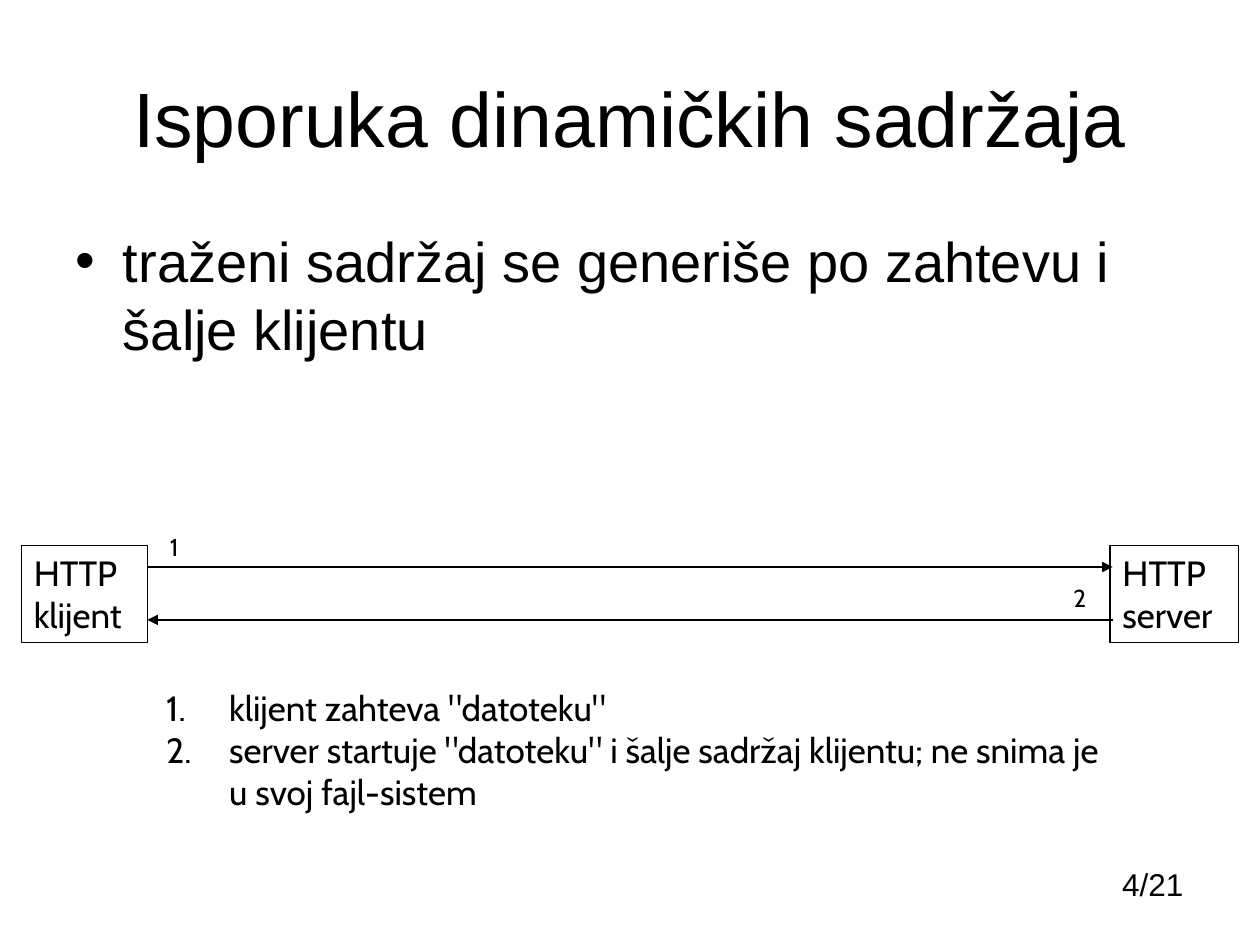
from dataclasses import dataclass

from lxml.etree import SubElement
from pptx import Presentation
from pptx.dml.color import RGBColor
from pptx.enum.shapes import MSO_CONNECTOR, MSO_SHAPE
from pptx.enum.text import MSO_ANCHOR, MSO_AUTO_SIZE, PP_ALIGN
from pptx.oxml.ns import qn
from pptx.util import Pt

BLACK = "000000"
LINE_WIDTH = 0.75


@dataclass(frozen=True)
class Box:
    left: float
    top: float
    width: float
    height: float

    def lengths(self) -> tuple:
        return Pt(self.left), Pt(self.top), Pt(self.width), Pt(self.height)


@dataclass(frozen=True)
class Label:
    box: Box
    text: str
    size: float
    face: str = "Cabin"
    align: PP_ALIGN = PP_ALIGN.LEFT
    wrap: bool = True


@dataclass(frozen=True)
class Host:
    box: Box
    lines: tuple
    wrap: bool


@dataclass(frozen=True)
class Message:
    start: float
    end: float
    height: float


def color(hex_code: str) -> RGBColor:
    return RGBColor.from_string(hex_code)


def style(paragraph, size: float, face: str, align: PP_ALIGN = PP_ALIGN.LEFT) -> None:
    paragraph.alignment = align
    paragraph.space_before = Pt(0)
    paragraph.font.size = Pt(size)
    paragraph.font.name = face
    paragraph.font.color.rgb = color(BLACK)


def add_bullet(paragraph, indent: float, tag: str, **marker: str) -> None:
    properties = paragraph._p.get_or_add_pPr()
    properties.set("marL", str(Pt(indent)))
    properties.set("indent", str(-Pt(indent)))
    SubElement(properties, qn(tag), marker)


def fill_placeholder(placeholder, label: Label) -> None:
    placeholder.left, placeholder.top, placeholder.width, placeholder.height = label.box.lengths()
    frame = placeholder.text_frame
    frame.text = label.text
    frame.auto_size = MSO_AUTO_SIZE.NONE


def add_label(slide, label: Label):
    frame = slide.shapes.add_textbox(*label.box.lengths()).text_frame
    frame.word_wrap = label.wrap
    frame.text = label.text
    for paragraph in frame.paragraphs:
        style(paragraph, label.size, label.face, label.align)


def add_host(slide, host: Host) -> None:
    rectangle = slide.shapes.add_shape(MSO_SHAPE.RECTANGLE, *host.box.lengths())
    rectangle.shadow.inherit = False
    rectangle.fill.background()
    rectangle.line.color.rgb = color(BLACK)
    rectangle.line.width = Pt(LINE_WIDTH)
    frame = rectangle.text_frame
    frame.word_wrap = host.wrap
    frame.vertical_anchor = MSO_ANCHOR.TOP
    frame.text = "\n".join(host.lines)
    for paragraph in frame.paragraphs:
        style(paragraph, 20, "Cabin")


def add_message(slide, message: Message) -> None:
    arrow = slide.shapes.add_connector(
        MSO_CONNECTOR.STRAIGHT,
        Pt(message.start), Pt(message.height), Pt(message.end), Pt(message.height),
    )
    arrow.line.color.rgb = color(BLACK)
    arrow.line.width = Pt(LINE_WIDTH)
    SubElement(arrow.line._get_or_add_ln(), qn("a:tailEnd"), type="triangle")
    SubElement(arrow._element.spPr, qn("a:effectLst"))


def add_steps(slide, box: Box, steps: tuple) -> None:
    frame = slide.shapes.add_textbox(*box.lengths()).text_frame
    frame.word_wrap = False
    for position, step in enumerate(steps):
        paragraph = frame.add_paragraph() if position else frame.paragraphs[0]
        paragraph.text = step
        add_bullet(paragraph, 36, "a:buAutoNum", type="arabicPeriod")
        style(paragraph, 20, "Cabin")


CLIENT_EDGE = 84.24
SERVER_EDGE = 635.76
TITLE = Label(Box(36, 21.6, 648, 90), "Isporuka dinamičkih sadržaja", 44, "Arial")
BODY = Label(
    Box(36, 126, 648, 92.16),
    "traženi sadržaj se generiše po zahtevu i šalje klijentu", 32, "Arial",
)
HOSTS = (
    Host(Box(12.24, 311.76, 72, 55.44), ("HTTP", "klijent"), True),
    Host(Box(634.32, 311.76, 73.44, 55.44), ("HTTP", "server"), False),
)
MESSAGES = (
    Message(CLIENT_EDGE, SERVER_EDGE, 324),
    Message(SERVER_EDGE, CLIENT_EDGE, 354.24),
)
STEPS = (
    'klijent zahteva "datoteku"',
    'server startuje "datoteku" i šalje sadržaj klijentu; ne snima je\vu svoj fajl-sistem',
)
LABELS = (
    Label(Box(90, 300.24, 22.32, 24.48), "1", 14, wrap=False),
    Label(Box(606.24, 329.76, 22.32, 24.48), "2", 14),
    Label(Box(552.96, 491.04, 130.32, 28.8), "4/21", 18, "Arial", PP_ALIGN.RIGHT),
)


def main() -> None:
    deck = Presentation()
    deck.slide_width, deck.slide_height = Pt(720), Pt(540)
    slide = deck.slides.add_slide(deck.slide_layouts[1])

    title, body = slide.shapes.title, slide.placeholders[1]
    fill_placeholder(title, TITLE)
    style(title.text_frame.paragraphs[0], TITLE.size, TITLE.face, PP_ALIGN.CENTER)
    fill_placeholder(body, BODY)
    demand = body.text_frame.paragraphs[0]
    add_bullet(demand, 27, "a:buChar", char="•")
    style(demand, BODY.size, BODY.face)

    for host in HOSTS:
        add_host(slide, host)
    for message in MESSAGES:
        add_message(slide, message)
    add_steps(slide, Box(87.84, 388.8, 616.32, 79.2), STEPS)
    for label in LABELS:
        add_label(slide, label)

    deck.save("out.pptx")


if __name__ == "__main__":
    main()
